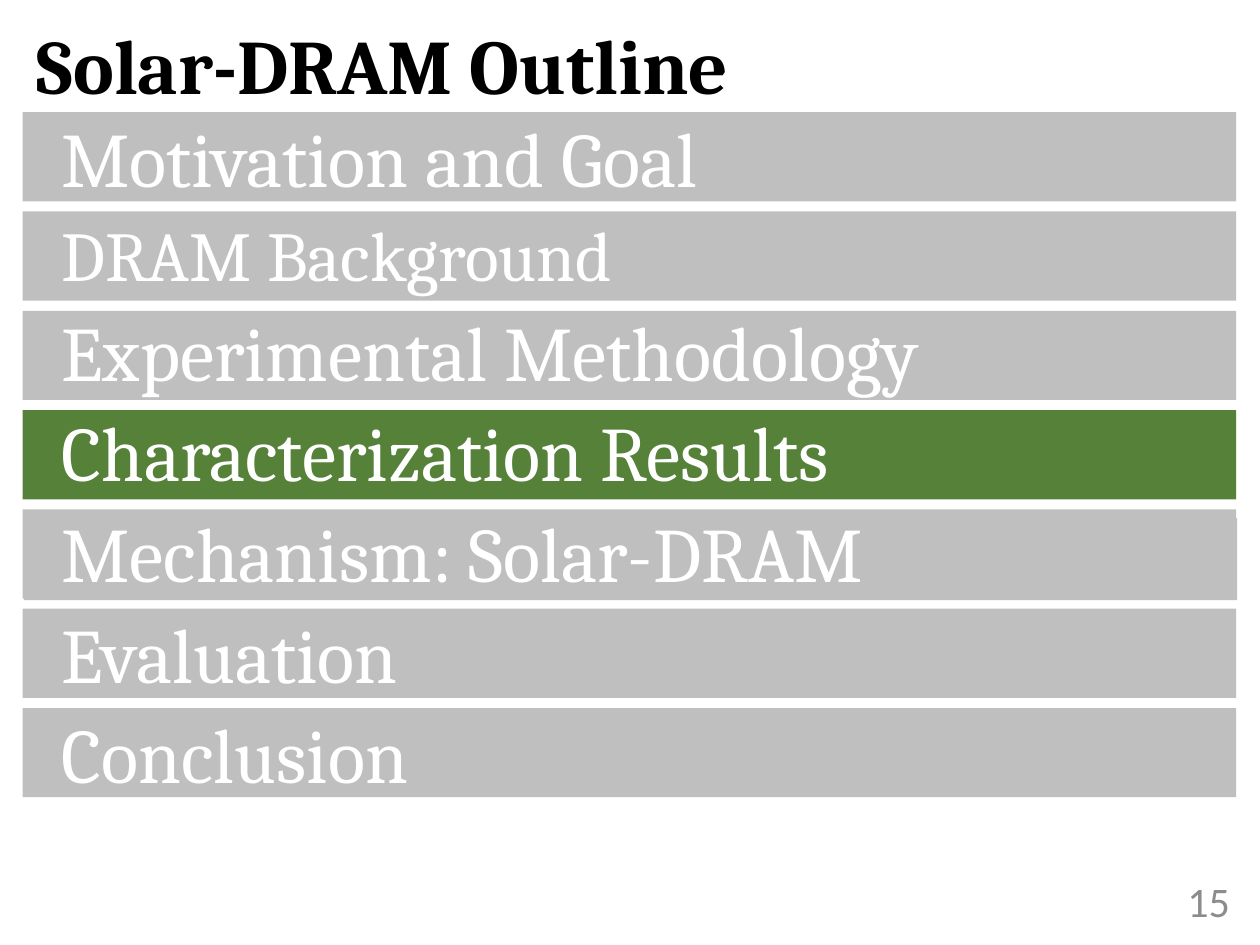
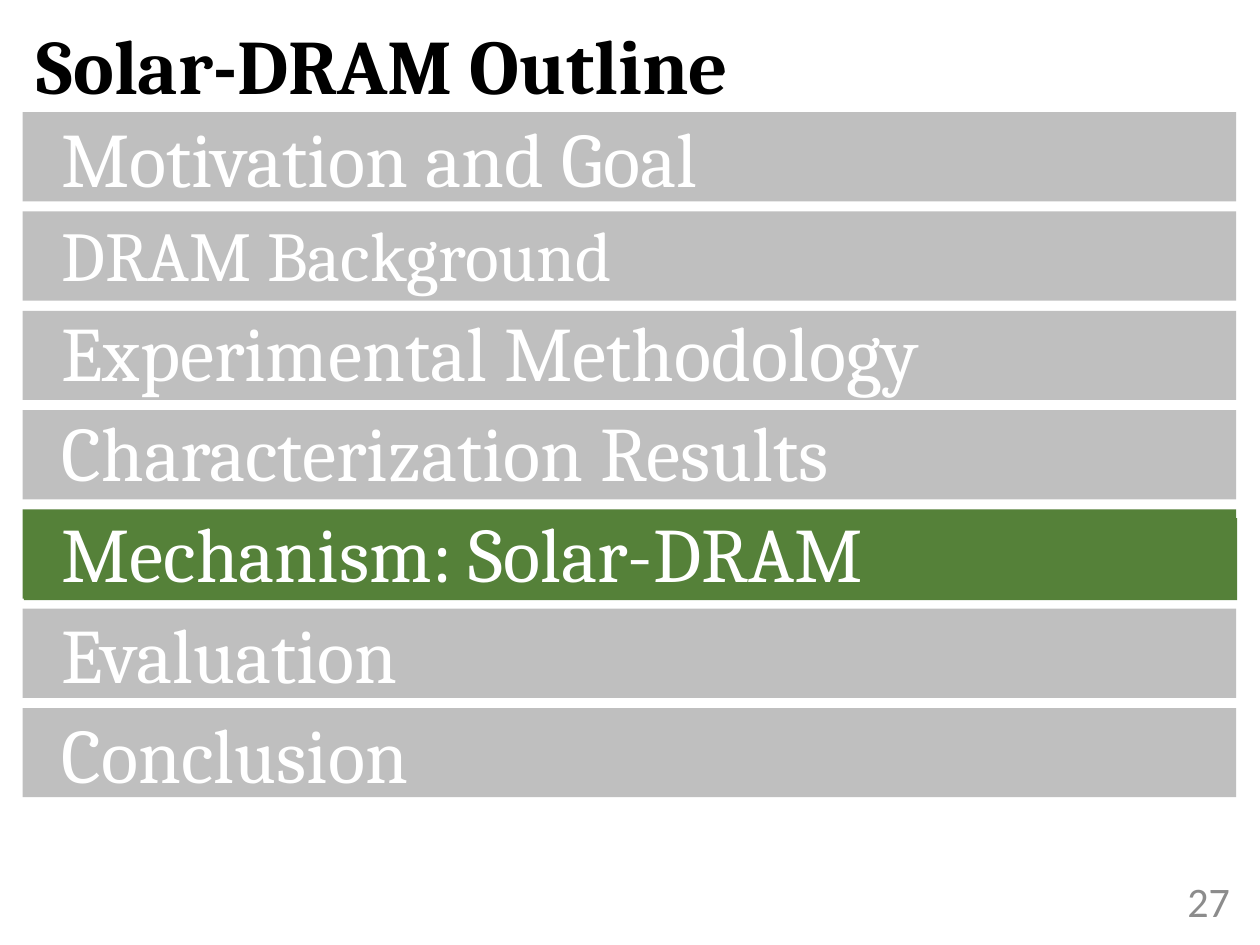
from pptx import Presentation
from pptx.dml.color import RGBColor
from pptx.enum.shapes import MSO_SHAPE
from pptx.enum.text import MSO_ANCHOR, PP_ALIGN
from pptx.util import Pt

GREY, GREEN, WHITE, BLACK, NUMBER_GREY = "BFBFBF", "558139", "FFFFFF", "000000", "8C8C8C"
SERIF, SANS = "Cambria", "Calibri"

# Boxes: left, top, width, height in points
TITLE_BOX = (13.7, 10.8, 685.4, 58.3)
OUTLINE_BOX = (13, 64.1, 693.4, 391.5)
NUMBER_BOX = (508.3, 500.4, 201.6, 28.8)
BAND_HEIGHT = 51

TOPICS = [
    ("Motivation and Goal", 44),
    ("DRAM Background", 40),
    ("Experimental Methodology", 44),
    ("Characterization Results", 44),
    ("Mechanism: Solar-DRAM", 44),
    ("Evaluation", 44),
    ("Conclusion", 44),
]
MECHANISM = 4


def color(hex_string):
    return RGBColor.from_string(hex_string)


def style(paragraph, size, font_name, hex_string, bold=False):
    font = paragraph.font
    font.size, font.name, font.bold = Pt(size), font_name, bold
    font.color.rgb = color(hex_string)


def add_text_frame(slide, box, anchor):
    text_frame = slide.shapes.add_textbox(*map(Pt, box)).text_frame
    text_frame.word_wrap = True
    text_frame.vertical_anchor = anchor
    return text_frame


def add_band(slide, box, fill):
    band = slide.shapes.add_shape(MSO_SHAPE.RECTANGLE, *map(Pt, box))
    band.shadow.inherit = False
    band.fill.solid()
    band.fill.fore_color.rgb = color(fill)
    band.line.fill.background()


def add_title(slide, box, title):
    text_frame = add_text_frame(slide, box, MSO_ANCHOR.MIDDLE)
    text_frame.text = title
    paragraph = text_frame.paragraphs[0]
    paragraph.line_spacing = 0.9
    style(paragraph, 44, SERIF, BLACK, bold=True)


def add_outline(slide, box, current):
    left, top, width, height = box
    pitch = (height - BAND_HEIGHT) / (len(TOPICS) - 1)

    # Bands, with the current topic in green
    for index in range(len(TOPICS)):
        fill = GREEN if index == current else GREY
        band_top = top + index * pitch
        add_band(slide, (left, band_top, width, BAND_HEIGHT), fill)
        if index == MECHANISM:
            # Second layer, slightly lower and to the right
            add_band(slide, (left + 0.6, band_top + 5, width, 46.8), fill)

    # Topics, one paragraph per band
    text_frame = add_text_frame(slide, (left + 15, top + 1.4, 639.4, 456.5), MSO_ANCHOR.TOP)
    text_frame.text = "\n".join(topic for topic, size in TOPICS)
    for index, (paragraph, (topic, size)) in enumerate(zip(text_frame.paragraphs, TOPICS)):
        paragraph.line_spacing = 0.9
        paragraph.space_before = Pt(10 if index else 0)
        style(paragraph, size, SERIF, WHITE)


def add_slide_number(slide, box, number):
    text_frame = add_text_frame(slide, box, MSO_ANCHOR.MIDDLE)
    text_frame.text = str(number)
    paragraph = text_frame.paragraphs[0]
    paragraph.alignment = PP_ALIGN.RIGHT
    style(paragraph, 24, SANS, NUMBER_GREY)


def add_outline_slide(presentation, current, number):
    slide = presentation.slides.add_slide(presentation.slide_layouts[6])
    add_outline(slide, OUTLINE_BOX, current)
    add_slide_number(slide, NUMBER_BOX, number)
    add_title(slide, TITLE_BOX, "Solar-DRAM Outline")


def main():
    presentation = Presentation()
    presentation.slide_width, presentation.slide_height = Pt(720), Pt(540)
    add_outline_slide(presentation, current=3, number=15)
    add_outline_slide(presentation, current=MECHANISM, number=27)
    presentation.save("out.pptx")


if __name__ == "__main__":
    main()
